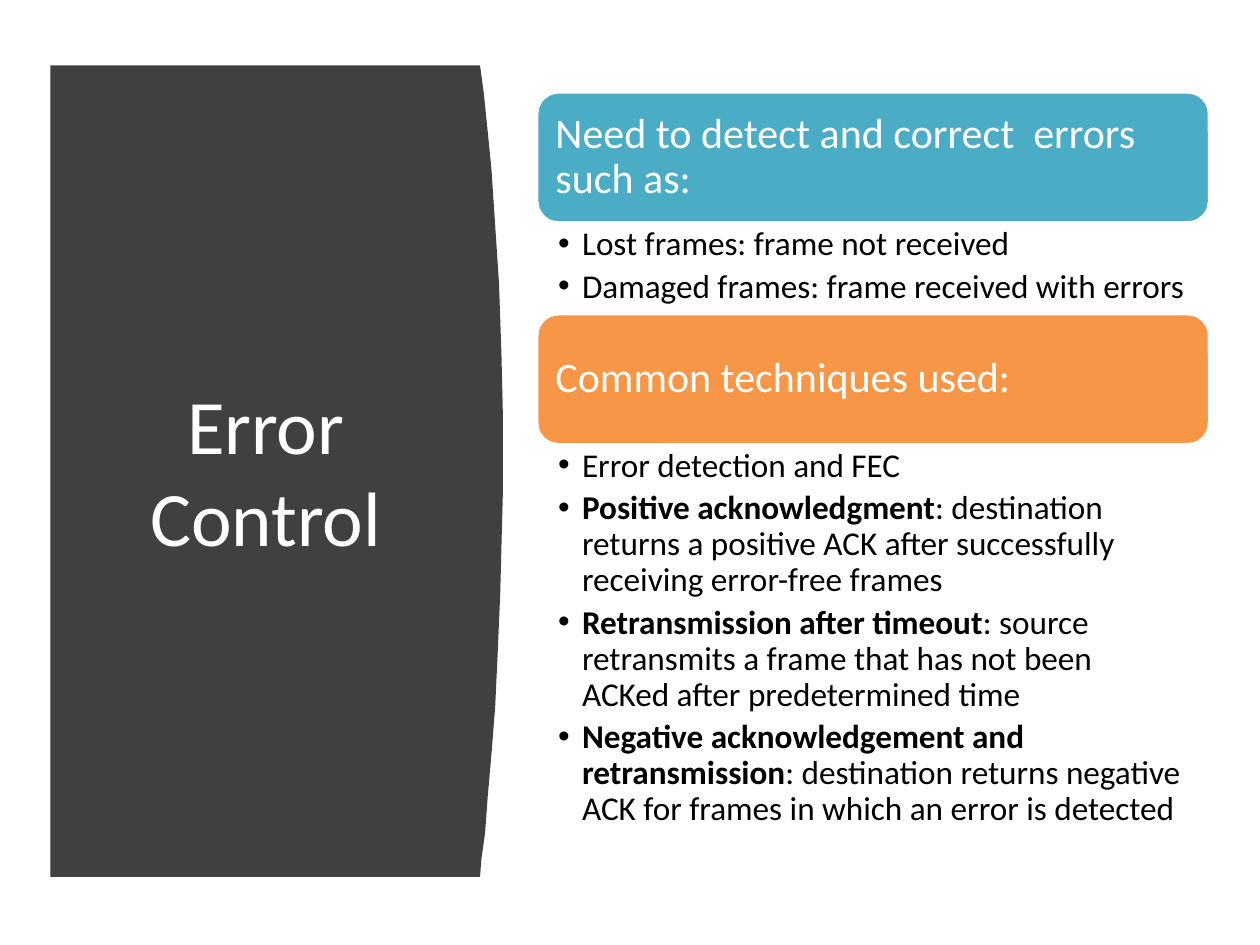
from pptx import Presentation, util as u
from pptx.dml.color import RGBColor
from pptx.enum import shapes, text
from lxml import etree

FONT = "Calibri"
WHITE, BLACK, DARK = "FFFFFF", "000000", "404040"
TITLE = "Error Control"

# heading, colour, body height, bullets as (bold part, plain part)
SECTIONS = [
    ("Need to detect and correct  errors such as:", "4BACC6", 0.72, [
        ("", "Lost frames: frame not received"),
        ("", "Damaged frames: frame received with errors"),
    ]),
    ("Common techniques used:", "F79646", 3.21, [
        ("", "Error detection and FEC"),
        ("Positive acknowledgment", ": destination returns a positive ACK "
         "after successfully receiving error-free frames"),
        ("Retransmission after timeout", ": source retransmits a frame that "
         "has not been ACKed after predetermined time"),
        ("Negative acknowledgement and retransmission", ": destination returns "
         "negative ACK for frames in which an error is detected"),
    ]),
]

PANEL_LEFT, PANEL_TOP, PANEL_BOTTOM = 0.4, 0.52, 6.96
PANEL_EDGE = [(3.81, PANEL_TOP), (3.84, 0.74), (3.87, 1.04), (3.9, 1.34),
              (3.92, 1.64), (3.94, 1.94), (3.96, 2.24), (3.97, 2.53),
              (3.98, 2.82), (3.99, 3.25), (3.99, 3.94), (3.98, 4.33),
              (3.97, 4.71), (3.95, 5.18), (3.93, 5.61), (3.9, 5.99),
              (3.87, 6.33), (3.85, 6.61), (3.82, 6.82), (3.81, PANEL_BOTTOM)]
LIST_LEFT, LIST_TOP, LIST_WIDTH, HEAD_HEIGHT = 4.26, 0.73, 5.34, 1.04
INDENT = 0.19


def rgb(color):
    return RGBColor.from_string(color)


def set_frame(tf, insets, anchor):
    """Wrap the text and set its insets: left, top, right, bottom."""
    tf.word_wrap = True
    tf.vertical_anchor = anchor
    (tf.margin_left, tf.margin_top,
     tf.margin_right, tf.margin_bottom) = map(u.Inches, insets)


def add_run(p, words, size, color, bold=False):
    r = p.add_run()
    r.text = words
    r.font.name, r.font.size, r.font.bold = FONT, u.Pt(size), bold
    r.font.color.rgb = rgb(color)


def add_bullet(p):
    pPr = p._p.get_or_add_pPr()
    pPr.set("marL", str(u.Inches(INDENT)))
    pPr.set("indent", str(-u.Inches(INDENT)))
    ns = pPr.nsmap["a"]
    etree.SubElement(pPr, f"{{{ns}}}buFont", typeface="Arial")
    etree.SubElement(pPr, f"{{{ns}}}buChar", char="•")


def add_panel(s):
    outline = PANEL_EDGE + [(PANEL_LEFT, PANEL_BOTTOM)]
    fb = s.shapes.build_freeform(u.Inches(PANEL_LEFT), u.Inches(PANEL_TOP))
    fb.add_line_segments([(u.Inches(x), u.Inches(y)) for x, y in outline])
    sp = fb.convert_to_shape()
    sp.shadow.inherit = False
    sp.fill.solid()
    sp.fill.fore_color.rgb = rgb(DARK)
    sp.line.fill.background()


def add_title(s):
    box = s.shapes.add_textbox(*map(u.Inches, (0.71, 1.11, 2.8, 5.24)))
    set_frame(box.text_frame, (0.1, 0.05, 0.1, 0.05), text.MSO_ANCHOR.MIDDLE)
    p = box.text_frame.paragraphs[0]
    p.alignment = text.PP_ALIGN.CENTER
    add_run(p, TITLE, 44, WHITE)


def add_heading(s, top, words, color):
    sp = s.shapes.add_shape(
        shapes.MSO_SHAPE.ROUNDED_RECTANGLE,
        *map(u.Inches, (LIST_LEFT, top, LIST_WIDTH, HEAD_HEIGHT)))
    sp.shadow.inherit = False
    sp.fill.solid()
    sp.fill.fore_color.rgb = rgb(color)
    sp.line.color.rgb = rgb(WHITE)
    sp.line.width = u.Pt(2)
    set_frame(sp.text_frame, (0.1, 0.1, 0.1, 0.1), text.MSO_ANCHOR.MIDDLE)
    p = sp.text_frame.paragraphs[0]
    p.alignment = text.PP_ALIGN.LEFT
    p.line_spacing = 0.9
    add_run(p, words, 24, WHITE)


def add_bullets(s, top, height, bullets):
    box = s.shapes.add_textbox(
        *map(u.Inches, (LIST_LEFT, top, LIST_WIDTH, height)))
    tf = box.text_frame
    set_frame(tf, (0.17, 0.03, 0.19, 0.03), text.MSO_ANCHOR.TOP)
    for i, (strong, plain) in enumerate(bullets):
        p = tf.add_paragraph() if i else tf.paragraphs[0]
        p.line_spacing, p.space_after = 0.9, u.Pt(3.8)
        add_bullet(p)
        if strong:
            add_run(p, strong, 19, BLACK, bold=True)
        add_run(p, plain, 19, BLACK)


def main():
    prs = Presentation()
    prs.slide_width, prs.slide_height = u.Inches(10), u.Inches(7.5)
    s = prs.slides.add_slide(prs.slide_layouts[6])
    add_panel(s)
    add_title(s)
    top = LIST_TOP
    for heading, color, height, bullets in SECTIONS:
        add_heading(s, top, heading, color)
        add_bullets(s, top + HEAD_HEIGHT, height, bullets)
        top += HEAD_HEIGHT + height
    prs.save("out.pptx")


if __name__ == "__main__":
    main()
